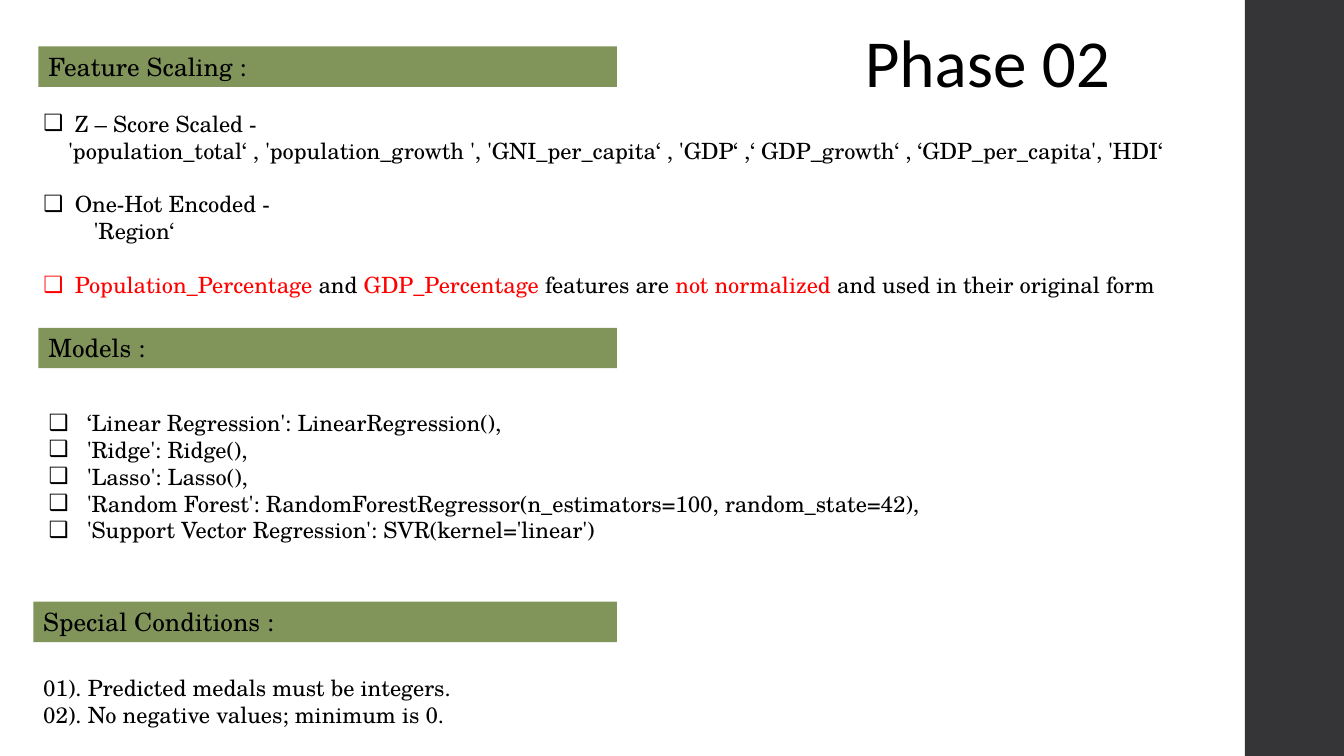
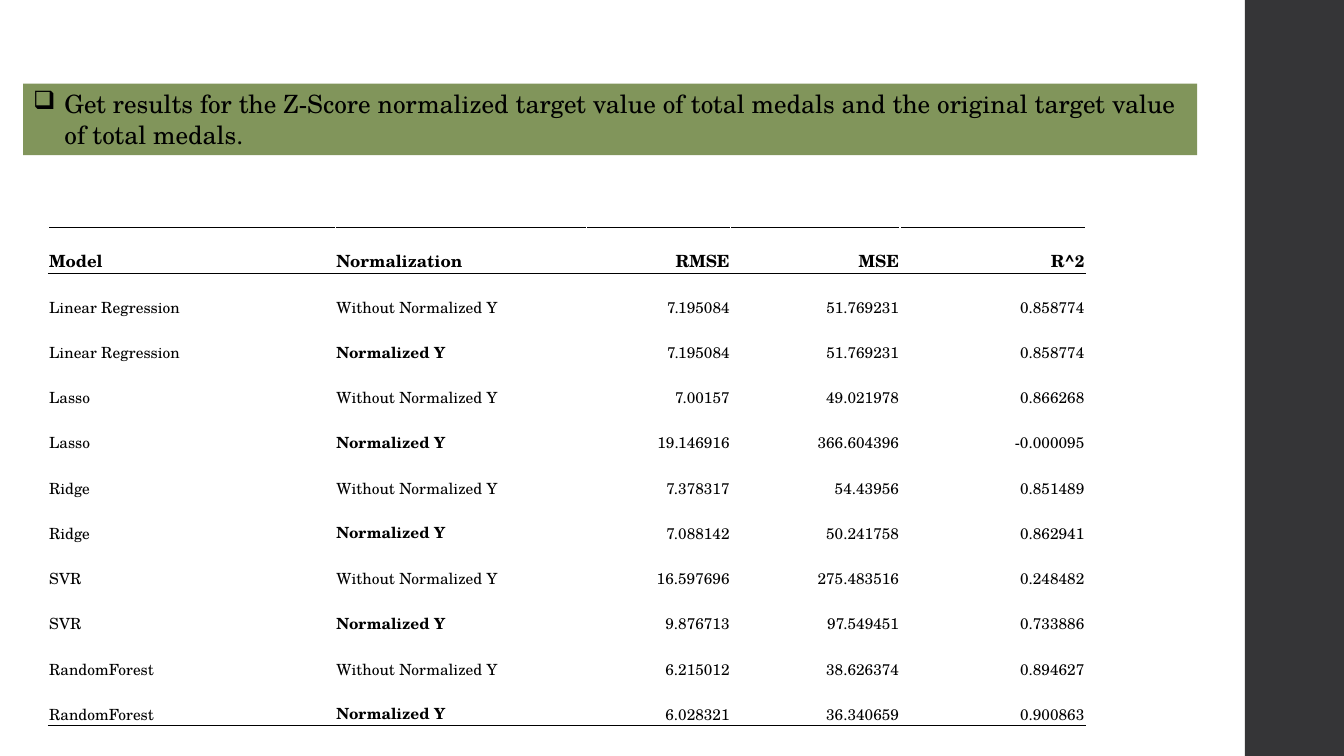
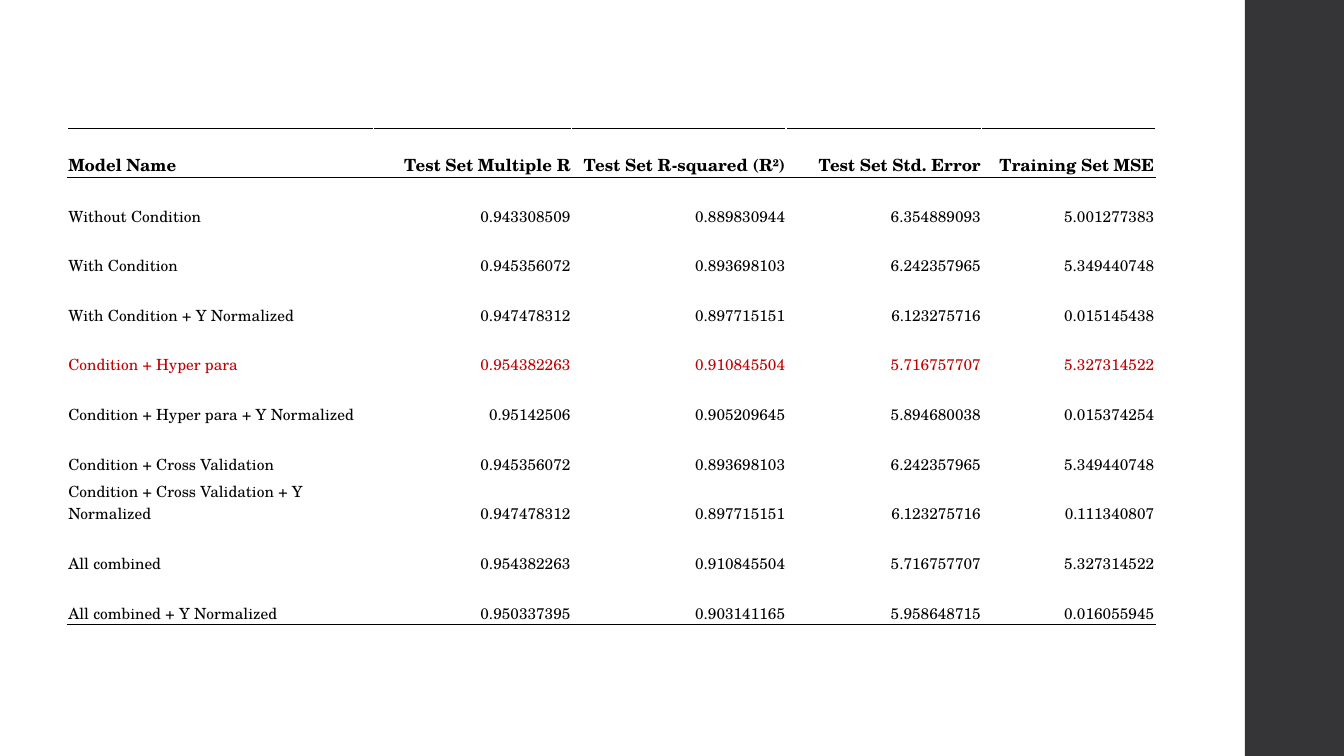
"""Build three slides on feature scaling, models and their results."""
from lxml import etree
from pptx import Presentation
from pptx.dml.color import RGBColor
from pptx.enum import shapes, text
from pptx.oxml import ns
from pptx.util import Cm, Pt

BLACK = RGBColor(0x00, 0x00, 0x00)
RED = RGBColor(0xFF, 0x00, 0x00)
DARK_RED = RGBColor(0xC0, 0x00, 0x00)
GREEN = RGBColor(0x81, 0x95, 0x5B)
CHARCOAL = RGBColor(0x35, 0x35, 0x37)

SERIF = "TeX Gyre Schola"
SANS = "Calibri"
SLIDE_W, SLIDE_H = 33.87, 19.05
SIDE_X = 31.37
HANG = 0.79
WIDE_HANG = 0.97
LINE_GAP = 19.2

RESULTS_HEAD = ["Model", "Normalization", "RMSE", "MSE", "R^2"]
RESULTS = [
    ("Linear Regression", ["7.195084", "51.769231", "0.858774"],
     ["7.195084", "51.769231", "0.858774"]),
    ("Lasso", ["7.00157", "49.021978", "0.866268"],
     ["19.146916", "366.604396", "-0.000095"]),
    ("Ridge", ["7.378317", "54.43956", "0.851489"],
     ["7.088142", "50.241758", "0.862941"]),
    ("SVR", ["16.597696", "275.483516", "0.248482"],
     ["9.876713", "97.549451", "0.733886"]),
    ("RandomForest", ["6.215012", "38.626374", "0.894627"],
     ["6.028321", "36.340659", "0.900863"]),
]

CONDITIONS_HEAD = ["Model Name", "Test Set Multiple R", "Test Set R-squared (R²)",
                   "Test Set Std. Error", "Training Set MSE"]
BEST = "Condition + Hyper para"
CONDITIONS = [
    ["Without Condition", "0.943308509", "0.889830944", "6.354889093", "5.001277383"],
    ["With Condition", "0.945356072", "0.893698103", "6.242357965", "5.349440748"],
    ["With Condition + Y Normalized", "0.947478312", "0.897715151", "6.123275716", "0.015145438"],
    [BEST, "0.954382263", "0.910845504", "5.716757707", "5.327314522"],
    ["Condition + Hyper para + Y Normalized", "0.95142506", "0.905209645", "5.894680038",
     "0.015374254"],
    ["Condition + Cross Validation", "0.945356072", "0.893698103", "6.242357965", "5.349440748"],
    ["Condition + Cross Validation + Y Normalized", "0.947478312", "0.897715151", "6.123275716",
     "0.111340807"],
    ["All combined", "0.954382263", "0.910845504", "5.716757707", "5.327314522"],
    ["All combined + Y Normalized", "0.950337395", "0.903141165", "5.958648715", "0.016055945"],
]


def place(sp, left, top, width, height):
    """Move and size a shape, in centimetres."""
    sp.left, sp.top, sp.width, sp.height = map(Cm, (left, top, width, height))


def style(p, size, color=BLACK, font=SERIF, bold=False):
    """Set the font of a paragraph."""
    p.font.size, p.font.name, p.font.bold = Pt(size), font, bold
    p.font.color.rgb = color


def set_indent(p, margin, bullet):
    """Indent a paragraph, with a hanging box bullet if wanted."""
    pPr = p._p.get_or_add_pPr()
    pPr.set("marL", str(Cm(margin)))
    pPr.set("indent", str(-Cm(margin) if bullet else 0))
    tag = "a:buChar" if bullet else "a:buNone"
    bu = etree.Element(ns.qn(tag))
    if bullet:
        bu.set("char", "❑")
    pPr.insert_element_before(bu, "a:tabLst", "a:defRPr", "a:extLst")


def write(tf, lines, size, font=SERIF):
    """Fill a frame with lines of (runs, margin, bullet, gap before)."""
    tf.word_wrap = True
    tf.auto_size = text.MSO_AUTO_SIZE.NONE
    tf.vertical_anchor = text.MSO_ANCHOR.TOP
    for i, (runs, margin, bullet, gap) in enumerate(lines):
        p = tf.add_paragraph() if i else tf.paragraphs[0]
        p.alignment = text.PP_ALIGN.LEFT
        p.space_before = Pt(gap)
        style(p, size, font=font)
        set_indent(p, margin, bullet)
        for words, color in runs:
            r = p.add_run()
            r.text = words
            r.font.color.rgb = color


def line(words, margin=0, bullet=False, gap=0):
    """Describe a line in one colour."""
    return [(words, BLACK)], margin, bullet, gap


def paint(sp, color):
    """Give a shape a plain fill."""
    sp.fill.solid()
    sp.fill.fore_color.rgb = color
    sp.line.fill.background()


def add_box(slide, color, *box):
    """Add a plain rectangle."""
    sp = slide.shapes.add_shape(shapes.MSO_SHAPE.RECTANGLE, *map(Cm, box))
    sp.shadow.inherit = False
    paint(sp, color)
    return sp


def add_heading(slide, words, left, top, width):
    """Add a green section heading."""
    sp = add_box(slide, GREEN, left, top, width, 1.02)
    write(sp.text_frame, [line(words)], 18)


def add_side_band(prs, slide):
    """Put the dark side band on the slide master."""
    sp = add_box(slide, CHARCOAL, SIDE_X, 0, SLIDE_W - SIDE_X, SLIDE_H)
    prs.slide_master.shapes.element.insert(2, sp.element)


def add_border(cell, side):
    """Draw a thin black border on one side of a cell."""
    ln = etree.SubElement(cell._tc.get_or_add_tcPr(), ns.qn(f"a:{side}"), w=str(Pt(0.5)))
    fill = etree.SubElement(ln, ns.qn("a:solidFill"))
    etree.SubElement(fill, ns.qn("a:srgbClr"), val=str(BLACK))


def add_ruled_table(slide, left, top, widths, heights, rows, labels, look):
    """Add a table with rules round its header and under its last row."""
    frame = slide.shapes.add_table(len(rows), len(widths), Cm(left), Cm(top),
                                   Cm(sum(widths)), Cm(sum(heights)))
    table = frame.table
    table.first_row = table.horz_banding = False
    for col, width in zip(table.columns, widths):
        col.width = Cm(width)
    for i, (row, height) in enumerate(zip(rows, heights)):
        table.rows[i].height = Cm(height)
        for j, words in enumerate(row):
            cell = table.cell(i, j)
            cell.margin_left = cell.margin_right = cell.margin_top = Cm(0.02)
            cell.margin_bottom = 0
            cell.vertical_anchor = text.MSO_ANCHOR.BOTTOM
            if i < 2:
                add_border(cell, "lnT")
            if i in (0, len(rows) - 1):
                add_border(cell, "lnB")
            cell.fill.background()
            p = cell.text_frame.paragraphs[0]
            p.text = words
            p.alignment = text.PP_ALIGN.LEFT if j < labels else text.PP_ALIGN.RIGHT
            style(p, 11 if i else 12, bold=i == 0)
            if i:
                look(p, row)


def bold_normalized(p, row):
    """Make the normalized label bold."""
    p.font.bold = p.text == "Normalized Y"


def redden_best(p, row):
    """Colour the best row."""
    if row[0] == BEST:
        p.font.color.rgb = DARK_RED


def build_phase(prs):
    """Build the slide on scaling, models and conditions."""
    slide = prs.slides.add_slide(prs.slide_layouts[3])
    add_side_band(prs, slide)
    title, features, models = slide.placeholders
    place(title, 21.54, 0.38, 8.97, 2.31)
    write(title.text_frame, [line("Phase 02")], 48, SANS)

    add_heading(slide, "Feature Scaling :", 0.97, 1.17, 14.58)
    place(features, 0.84, 2.64, 30.12, 5.13)
    write(features.text_frame, [
        line("Z – Score Scaled -", HANG, True),
        line("'population_total‘ , 'population_growth ', 'GNI_per_capita‘ , 'GDP‘ ,"
             "‘ GDP_growth‘ , ‘GDP_per_capita', 'HDI‘", 0.63),
        line("One-Hot Encoded -", HANG, True, LINE_GAP),
        line("'Region‘", 1.27),
        ([("Population_Percentage", RED), (" and ", BLACK), ("GDP_Percentage", RED),
          (" features are ", BLACK), ("not normalized ", RED),
          ("and used in their original form", BLACK)], HANG, True, LINE_GAP),
    ], 16)

    add_heading(slide, "Models :", 0.97, 8.26, 14.58)
    place(models, 0.97, 10.18, 24.08, 3.7)
    calls = ["‘Linear Regression': LinearRegression(),", "'Ridge': Ridge(),",
             "'Lasso': Lasso(),",
             "'Random Forest': RandomForestRegressor(n_estimators=100, random_state=42),",
             "'Support Vector Regression': SVR(kernel='linear')"]
    write(models.text_frame, [line(call, WIDE_HANG, True) for call in calls], 16)

    add_heading(slide, "Special Conditions :", 0.84, 15.16, 14.71)
    rules = slide.shapes.add_textbox(Cm(0.84), Cm(16.87), Cm(17.68), Cm(1.63))
    write(rules.text_frame, [line("01). Predicted medals must be integers."),
                             line("02). No negative values; minimum is 0.")], 16)


def build_results(prs):
    """Build the slide comparing normalized and original targets."""
    slide = prs.slides.add_slide(prs.slide_layouts[5])
    title = slide.shapes.title
    place(title, 0.58, 2.11, 29.59, 1.8)
    paint(title, GREEN)
    write(title.text_frame, [line(
        "Get results for the Z-Score normalized target value of total medals "
        "and the original target value of total medals.", HANG, True)], 18)
    rows = [RESULTS_HEAD]
    for model, plain, normalized in RESULTS:
        rows += [[model, "Without Normalized Y", *plain],
                 [model, "Normalized Y", *normalized]]
    add_ruled_table(slide, 1.22, 5.72, [7.24, 6.32, 3.63, 4.27, 4.67],
                    [1.17] + [1.14] * 10, rows, 2, bold_normalized)


def build_conditions(prs):
    """Build the slide comparing the conditions."""
    slide = prs.slides.add_slide(prs.slide_layouts[6])
    add_ruled_table(slide, 1.7, 3.23, [7.72, 4.98, 5.41, 4.93, 4.37],
                    [1.25] * 10, [CONDITIONS_HEAD] + CONDITIONS, 1, redden_best)


def main():
    """Build and save the presentation."""
    prs = Presentation()
    prs.slide_width, prs.slide_height = Cm(SLIDE_W), Cm(SLIDE_H)
    build_phase(prs)
    build_results(prs)
    build_conditions(prs)
    prs.save("out.pptx")


if __name__ == "__main__":
    main()
